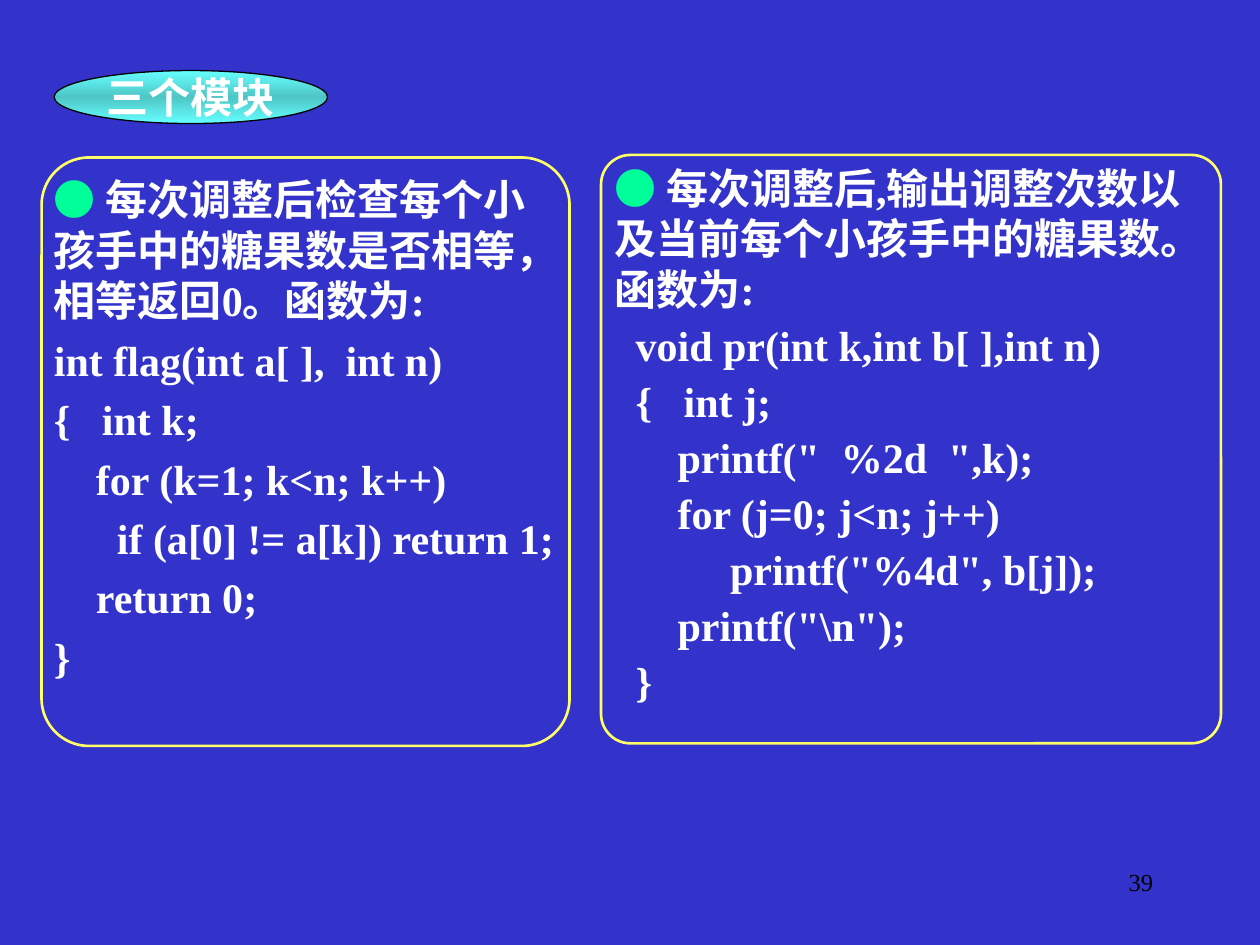
from copy import deepcopy

from pptx import Presentation
from pptx.dml.color import RGBColor
from pptx.enum.shapes import MSO_SHAPE as Shape
from pptx.enum.text import MSO_ANCHOR as Anchor, PP_ALIGN as Align
from pptx.util import Inches, Pt

FONT = "Times New Roman"
WIDTH, HEIGHT = Inches(10), Inches(7.5)
WHITE, BLACK, BLUE = "FFFFFF", "000000", "3333CC"
GREEN, YELLOW = "00FF99", "FFFF66"
AQUA, TEAL = "66FFFF", "4FC6C6"

CHECK_TEXT = "每次调整后检查每个小孩手中的糖果数是否相等，相等返回0。函数为:"
CHECK_CODE = """int flag(int a[ ],  int n)
{   int k;
    for (k=1; k<n; k++)
      if (a[0] != a[k]) return 1;
    return 0;
}"""

PRINT_TEXT = "每次调整后,输出调整次数以及当前每个小孩手中的糖果数。函数为:"
PRINT_CODE = r"""  void pr(int k,int b[ ],int n)
  {   int j;
      printf("  %2d  ",k);
      for (j=0; j<n; j++)
           printf("%4d", b[j]);
      printf("\n");
  }"""


def color(hex_text):
    """Turn a hex string into a colour."""
    return RGBColor.from_string(hex_text)


def place(left, top, width, height):
    """Turn percentages of the slide's size into lengths."""
    return [int(share * size / 100) for share, size in
            zip((left, top, width, height), (WIDTH, HEIGHT) * 2)]


def add_text(paragraph, text, size=24, fill=WHITE, bold=True):
    """Append a formatted run to a paragraph."""
    run = paragraph.add_run()
    run.text = text
    run.font.name, run.font.size, run.font.bold = FONT, Pt(size), bold
    run.font.color.rgb = color(fill)


def add_box(slide, area):
    """Add a wrapping text box and return its text frame."""
    frame = slide.shapes.add_textbox(*place(*area)).text_frame
    frame.word_wrap = True
    return frame


def add_outlined(slide, kind, area, line, weight):
    """Add an unfilled preset shape with an outline."""
    shape = slide.shapes.add_shape(kind, *place(*area))
    shape.shadow.inherit = False
    shape.fill.background()
    shape.line.color.rgb = color(line)
    shape.line.width = Pt(weight)
    return shape


def fill_gradient(shape, colors):
    """Fill a shape with evenly spaced vertical gradient stops."""
    shape.fill.gradient()
    shape.fill.gradient_angle = 90
    last = shape.fill.gradient_stops[-1]._gs
    for _ in colors[2:]:
        last.addnext(deepcopy(last))
    for index, stop in enumerate(shape.fill.gradient_stops):
        stop.position = index / (len(colors) - 1)
        stop.color.rgb = color(colors[index])


def add_title(slide, text, area):
    """Add the oval heading."""
    oval = add_outlined(slide, Shape.OVAL, area, BLACK, 0.75)
    fill_gradient(oval, [AQUA, TEAL, AQUA])
    frame = oval.text_frame
    frame.word_wrap = False
    frame.vertical_anchor = Anchor.MIDDLE
    frame.paragraphs[0].alignment = Align.CENTER
    add_text(frame.paragraphs[0], text)


def add_module(slide, area, text_area, corner, description, code, spacing):
    """Add a rounded panel with a description above its code."""
    frame = add_box(slide, text_area)
    add_text(frame.paragraphs[0], "● ", fill=GREEN, bold=False)
    add_text(frame.paragraphs[0], description)
    for line in code.splitlines():
        paragraph = frame.add_paragraph()
        paragraph.line_spacing, paragraph.space_before = Pt(spacing), Pt(12)
        add_text(paragraph, line)
    panel = add_outlined(slide, Shape.ROUNDED_RECTANGLE, area, YELLOW, 1.5)
    panel.adjustments[0] = corner


def add_page_number(slide, number, area):
    """Add the right-aligned page number."""
    paragraph = add_box(slide, area).paragraphs[0]
    paragraph.alignment = Align.RIGHT
    add_text(paragraph, number, size=14, fill=BLACK, bold=False)


def main():
    """Build and save the slide."""
    presentation = Presentation()
    presentation.slide_width, presentation.slide_height = WIDTH, HEIGHT
    slide = presentation.slides.add_slide(presentation.slide_layouts[6])
    slide.background.fill.solid()
    slide.background.fill.fore_color.rgb = color(BLUE)

    add_title(slide, "三个模块", (4.3, 7.47, 21.7, 5.6))
    add_module(slide, (3.3, 16.67, 41.9, 62.27), (3.3, 17.73, 42.5, 58.4),
               0.09, CHECK_TEXT, CHECK_CODE, 22)
    add_module(slide, (47.7, 16.4, 49.2, 62.27), (47.8, 16.53, 49.2, 62.53),
               0.05, PRINT_TEXT, PRINT_CODE, 20)
    add_page_number(slide, "39", (71.7, 91.07, 20.8, 6.67))
    presentation.save("out.pptx")


if __name__ == "__main__":
    main()
